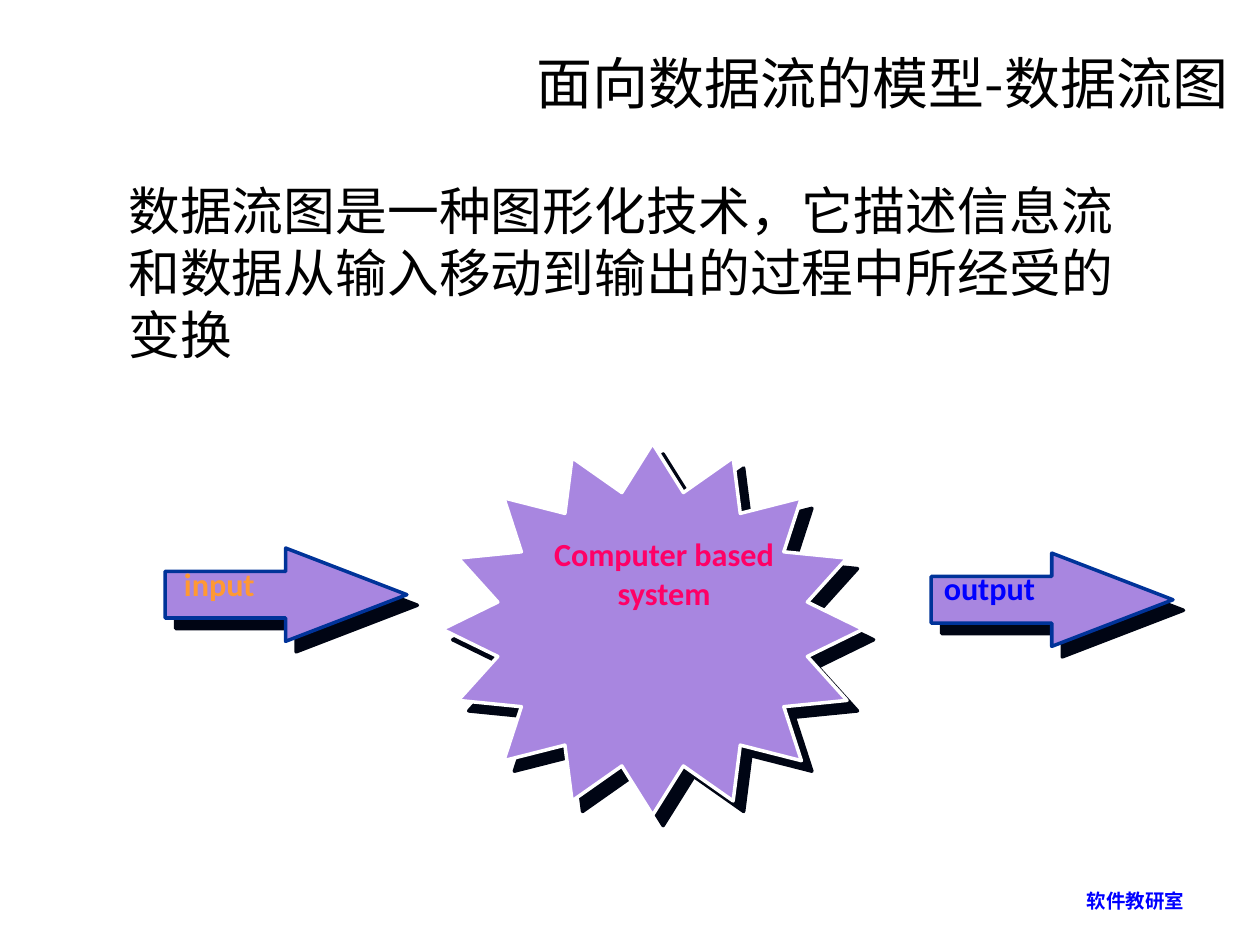
from lxml import etree
from pptx import Presentation
from pptx.dml.color import RGBColor
from pptx.enum import shapes, text
from pptx.oxml import ns
from pptx.util import Pt

COLORS = {
    "black": "000000", "white": "FFFFFF", "purple": "A886E0", "navy": "003399",
    "shadow": "000514", "blue": "0000FF", "pink": "FF0066", "orange": "FF9933",
}
CJK_FONT = "Noto Sans CJK SC"
ALIGN = text.PP_ALIGN


def write(shape, content, size, color, align, font="Calibri", bold=False,
          insets=(7.2, 3.6), anchor=text.MSO_ANCHOR.TOP, wrap=True):
    """Fill a shape with text in one format; insets are horizontal, vertical."""
    frame = shape.text_frame
    frame.text = content
    frame.word_wrap = wrap
    frame.auto_size = text.MSO_AUTO_SIZE.NONE
    frame.vertical_anchor = anchor
    frame.margin_left = frame.margin_right = Pt(insets[0])
    frame.margin_top = frame.margin_bottom = Pt(insets[1])
    for paragraph in frame.paragraphs:
        paragraph.alignment = align
        for run in paragraph.runs:
            run.font.size = Pt(size)
            run.font.bold = bold
            run.font.name = font
            run.font.color.rgb = RGBColor.from_string(COLORS[color])
            east_asian = etree.SubElement(run.font._element, ns.qn("a:ea"))
            east_asian.set("typeface", CJK_FONT)


def add_hard_shadow(shape):
    """Give the shape a sharp shadow to the lower right."""
    shape.shadow.inherit = False
    effects = shape._element.spPr.find(ns.qn("a:effectLst"))
    shadow = etree.SubElement(effects, ns.qn("a:outerShdw"), dist=str(Pt(8.5)),
                              dir="2700000", algn="ctr", rotWithShape="0")
    etree.SubElement(shadow, ns.qn("a:srgbClr"), val=COLORS["shadow"])


presentation = Presentation()
presentation.slide_width, presentation.slide_height = Pt(720), Pt(540)
slide = presentation.slides.add_slide(presentation.slide_layouts[5])

title = slide.shapes.title
title.left, title.top, title.width, title.height = Pt(266.4), Pt(25.9), Pt(450), Pt(41.8)
write(title, "面向数据流的模型-数据流图 ", 32, "black", ALIGN.RIGHT, CJK_FONT,
      anchor=text.MSO_ANCHOR.MIDDLE)

definition = slide.shapes.add_textbox(Pt(66.2), Pt(98.6), Pt(603.4), Pt(114.5))
write(definition, "数据流图是一种图形化技术，它描述信息流和数据从输入移动到输出的过程中所经受的变换",
      29.6, "black", ALIGN.LEFT, CJK_FONT)
definition.text_frame.margin_right = Pt(20)
definition.text_frame.paragraphs[0].line_spacing = Pt(35.4)

footer = slide.shapes.add_textbox(Pt(516.2), Pt(500.4), Pt(167.8), Pt(28.8))
write(footer, "软件教研室", 11.1, "blue", ALIGN.RIGHT, bold=True,
      anchor=text.MSO_ANCHOR.MIDDLE)

STAR, ARROW = shapes.MSO_SHAPE.STAR_16_POINT, shapes.MSO_SHAPE.RIGHT_ARROW
for kind, left, top, width, height, adjustments, line in (
    (STAR, 252.7, 253.4, 240.5, 212.4, (0.375,), "white"),
    (ARROW, 94.3, 313.2, 138.2, 53.3, (0.5, 1.3), "navy"),
    (ARROW, 532.1, 316.1, 138.2, 53.3, (0.5, 1.3), "navy"),
):
    # The star's outline box is wider than its visible points by the star's own geometry
    shape = slide.shapes.add_shape(kind, Pt(left), Pt(top), Pt(width), Pt(height))
    for index, value in enumerate(adjustments):
        shape.adjustments[index] = value
    shape.fill.solid()
    shape.fill.fore_color.rgb = RGBColor.from_string(COLORS["purple"])
    shape.line.color.rgb = RGBColor.from_string(COLORS[line])
    shape.line.width = Pt(2)
    add_hard_shadow(shape)

for content, left, top, width, height, color, align in (
    ("Computer based\nsystem", 309.6, 302.4, 139.7, 51.1, "pink", ALIGN.CENTER),
    ("input", 98.6, 319.7, 54, 28.8, "orange", ALIGN.JUSTIFY),
    ("output", 532.8, 321.8, 65.5, 28.8, "blue", ALIGN.JUSTIFY),
):
    label = slide.shapes.add_textbox(Pt(left), Pt(top), Pt(width), Pt(height))
    write(label, content, 18.4, color, align, bold=True, insets=(6.5, 2.9), wrap=False)

presentation.save("out.pptx")
